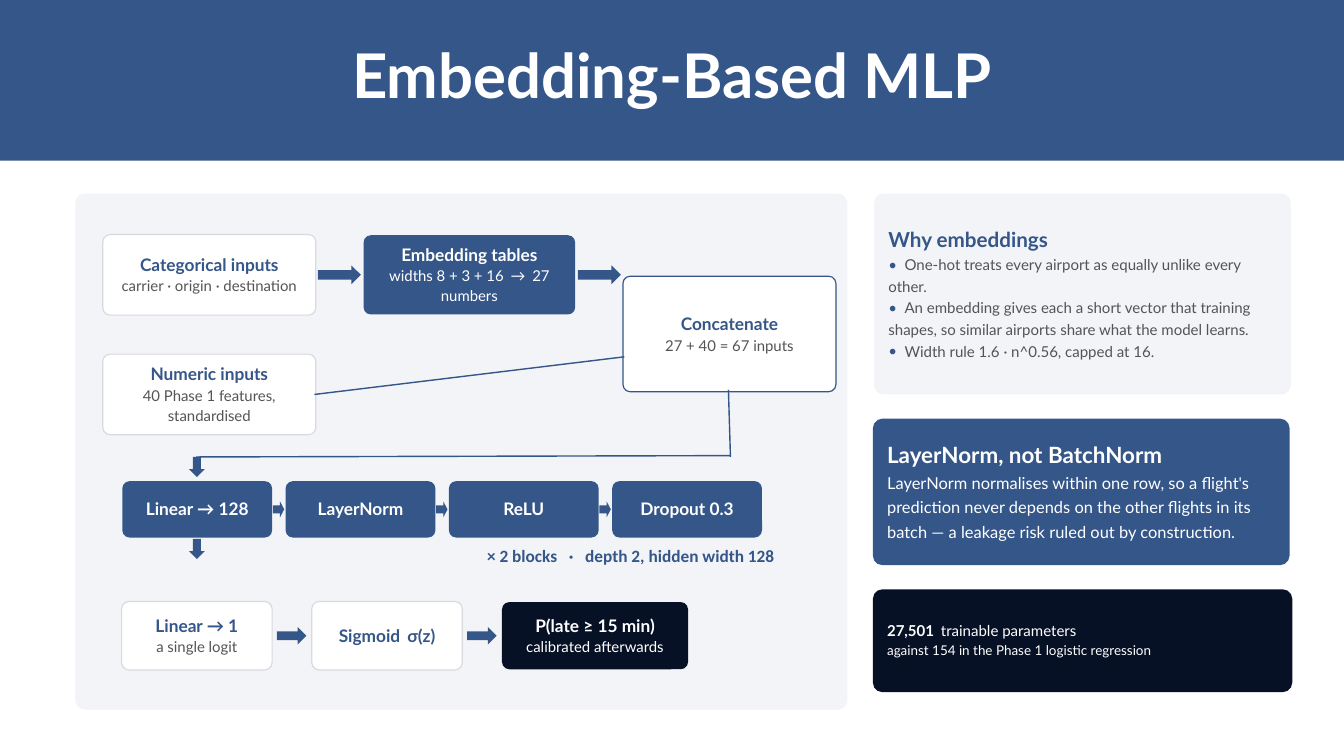
from lxml.etree import SubElement
from pptx import Presentation
from pptx.dml.color import RGBColor
from pptx.enum.shapes import MSO_CONNECTOR, MSO_SHAPE
from pptx.enum.text import MSO_ANCHOR, PP_ALIGN
from pptx.oxml.ns import qn
from pptx.util import Emu, Pt

PX = 9144  # 100 px to the inch
BLUE, NAVY, PALE = "355688", "071125", "F3F4F7"
WHITE, GREY, EDGE = "FFFFFF", "545454", "D8DAE0"
GAP = "|"  # marks a widened space inside a text


def px(*values):
    return [Emu(v * PX) for v in values]


def rgb(value):
    return RGBColor.from_string(value)


def add_shape(slide, kind, box, fill, line=None):
    s = slide.shapes.add_shape(kind, *px(*box))
    s.shadow.inherit = False
    s.fill.solid()
    s.fill.fore_color.rgb = rgb(fill)
    if line:
        s.line.color.rgb = rgb(line)
        s.line.width = Pt(1.25)
    else:
        s.line.fill.background()
    return s


def add_run(p, text, fmt, spacing=None):
    r = p.add_run()
    r.text = text
    for name, value in fmt.items():
        if name == "color":
            r.font.color.rgb = rgb(value)
        else:
            setattr(r.font, name, value)
    if spacing:
        r._r.get_or_add_rPr().set("spc", str(round(spacing * 100)))


def add_runs(p, text, fmt, gap=3.2):
    """Write text, with each GAP mark as one space widened by gap points."""
    for i, part in enumerate(text.split(GAP)):
        if i:
            add_run(p, " ", fmt, gap)
        if part:
            add_run(p, part, fmt)


def style(size, color, bold=False, name="Lato"):
    return {"size": Pt(size), "color": color, "bold": bold, "name": name}


def set_frame(tf, insets, anchor=MSO_ANCHOR.MIDDLE):
    tf.word_wrap = True
    tf.vertical_anchor = anchor
    sides = ("left", "top", "right", "bottom")
    for side, value in zip(sides, px(*insets)):
        setattr(tf, f"margin_{side}", value)


def add_line_of_text(tf, spacing, align=PP_ALIGN.LEFT):
    p = tf.paragraphs[0]
    if p.runs:
        p = tf.add_paragraph()
    p.alignment = align
    p.line_spacing = Pt(spacing)
    return p


def set_bullet(p, color, width):
    """Bullet whose wrapped lines return to the left margin."""
    pPr = p._p.get_or_add_pPr()
    pPr.set("marL", "0")
    pPr.set("indent", "0")
    clr = SubElement(pPr, qn("a:buClr"))
    SubElement(clr, qn("a:srgbClr"), val=color)
    SubElement(pPr, qn("a:buFont"), typeface="Lato")
    SubElement(pPr, qn("a:buChar"), char="•")
    tabs = SubElement(pPr, qn("a:tabLst"))
    SubElement(tabs, qn("a:tab"), pos=str(width * PX), algn="l")


def add_rounded(slide, box, radius, fill, line=None):
    s = add_shape(slide, MSO_SHAPE.ROUNDED_RECTANGLE, box, fill, line)
    s.adjustments[0] = radius / min(box[2:])
    return s


def add_node(slide, box, title, note=None, fill=WHITE, line=None):
    on_white = fill == WHITE
    s = add_rounded(slide, box, 11, fill, line)
    tf = s.text_frame
    set_frame(tf, (3, 0, 3, 4))
    p = add_line_of_text(tf, 24.4, PP_ALIGN.CENTER)
    add_runs(p, title, style(18.5, BLUE if on_white else WHITE, True))
    if note:
        p = add_line_of_text(tf, 21.5, PP_ALIGN.CENTER)
        add_runs(p, note, style(16, GREY if on_white else WHITE))


def add_panel(slide, box, fill):
    tf = add_rounded(slide, box, 14, fill).text_frame
    set_frame(tf, (17, 12, 17, 17))
    return tf


def add_textbox(slide, box, text, fmt, spacing, align, gap=0):
    tf = slide.shapes.add_textbox(*px(*box)).text_frame
    set_frame(tf, (0, 0, 0, 0), MSO_ANCHOR.TOP)
    add_runs(add_line_of_text(tf, spacing, align), text, fmt, gap)


def add_arrow(slide, box, kind=MSO_SHAPE.RIGHT_ARROW, head=0.5):
    s = add_shape(slide, kind, box, BLUE)
    s.adjustments[1] = head


def add_line(slide, *ends):
    s = slide.shapes.add_connector(MSO_CONNECTOR.STRAIGHT, *px(*ends))
    s.line.color.rgb = rgb(BLUE)
    s.line.width = Pt(1.5)
    SubElement(s._element.spPr, qn("a:effectLst"))


def draw_inputs(slide):
    add_node(slide, (153, 349, 317, 120), "Categorical inputs",
             "carrier · origin · destination", line=EDGE)
    add_node(slide, (541, 350, 315, 118), "Embedding tables",
             "widths 8 + 3 + 16|→|27 numbers", BLUE)
    add_node(slide, (153, 527, 317, 120), "Numeric inputs",
             "40 Phase 1 features, standardised", line=EDGE)
    add_node(slide, (927, 411, 317, 172), "Concatenate",
             "27 + 40 = 67 inputs", line=BLUE)
    for x in (473, 860):
        add_arrow(slide, (x, 395, 64, 28))
    add_line(slide, 468, 587, 929, 531)


def draw_hidden_block(slide):
    width, gap, top = 223, 20, 716
    layers = ("Linear → 128", "LayerNorm", "ReLU", "Dropout 0.3")
    for i, layer in enumerate(layers):
        x = 182 + i * (width + gap)
        add_node(slide, (x, top, width, 84), layer, fill=BLUE)
        if i:
            add_arrow(slide, (x - 19, 746, 17, 24), head=0.375)
    add_line(slide, 1084, 580, 1087, 680)
    add_line(slide, 1087, 678, 292, 680)
    for y in (680, 802):
        add_arrow(slide, (281, y, 24, 30), MSO_SHAPE.DOWN_ARROW)
    add_textbox(slide, (322, 805, 830, 52),
                "× 2 blocks|·|depth 2, hidden width 128",
                style(18.5, BLUE, True, "Calibri"), 27.1, PP_ALIGN.RIGHT, 8.4)


def draw_output(slide):
    add_node(slide, (181, 895, 224, 102), "Linear → 1", "a single logit", line=EDGE)
    add_node(slide, (464, 895, 224, 102), "Sigmoid|σ(z)", line=EDGE)
    add_node(slide, (747, 896, 277, 100), "P(late ≥ 15 min)",
             "calibrated afterwards", NAVY)
    for x in (412, 695):
        add_arrow(slide, (x, 933, 44, 26))


def draw_side_panels(slide):
    tf = add_panel(slide, (1301, 288, 620, 299), PALE)
    add_runs(add_line_of_text(tf, 29.2), "Why embeddings", style(22.1, BLUE, True))
    for reason in (
        "One-hot treats every airport as equally unlike every other.",
        "An embedding gives each a short vector that training shapes, "
        "so similar airports share what the model learns.",
        "Width rule 1.6 · n^0.56, capped at 16.",
    ):
        p = add_line_of_text(tf, 23.2)
        set_bullet(p, BLUE, 24)
        add_runs(p, "\t" + reason, style(16.1, GREY))

    tf = add_panel(slide, (1299, 623, 620, 218), BLUE)
    add_runs(add_line_of_text(tf, 31.7), "LayerNorm, not BatchNorm",
             style(24, WHITE, True))
    add_runs(add_line_of_text(tf, 26.2),
             "LayerNorm normalises within one row, so a flight's prediction "
             "never depends on the other flights in its batch — a leakage risk "
             "ruled out by construction.", style(17.6, WHITE))

    tf = add_panel(slide, (1299, 877, 624, 153), NAVY)
    p = add_line_of_text(tf, 21.6)
    add_runs(p, "27,501", style(16.1, WHITE, True))
    add_runs(p, "|trainable parameters", style(16.1, WHITE))
    add_runs(add_line_of_text(tf, 20),
             "against 154 in the Phase 1 logistic regression", style(14.4, WHITE))


def main():
    prs = Presentation()
    prs.slide_width, prs.slide_height = px(2000, 1125)
    slide = prs.slides.add_slide(prs.slide_layouts[6])
    add_shape(slide, MSO_SHAPE.RECTANGLE, (0, 0, 2000, 239), BLUE)
    add_textbox(slide, (112, 46, 1776, 144), "Embedding-Based MLP",
                style(66, WHITE, True), 85.5, PP_ALIGN.CENTER)
    add_rounded(slide, (112, 288, 1149, 768), 14, PALE)
    draw_inputs(slide)
    draw_hidden_block(slide)
    draw_output(slide)
    draw_side_panels(slide)
    prs.save("out.pptx")


if __name__ == "__main__":
    main()
